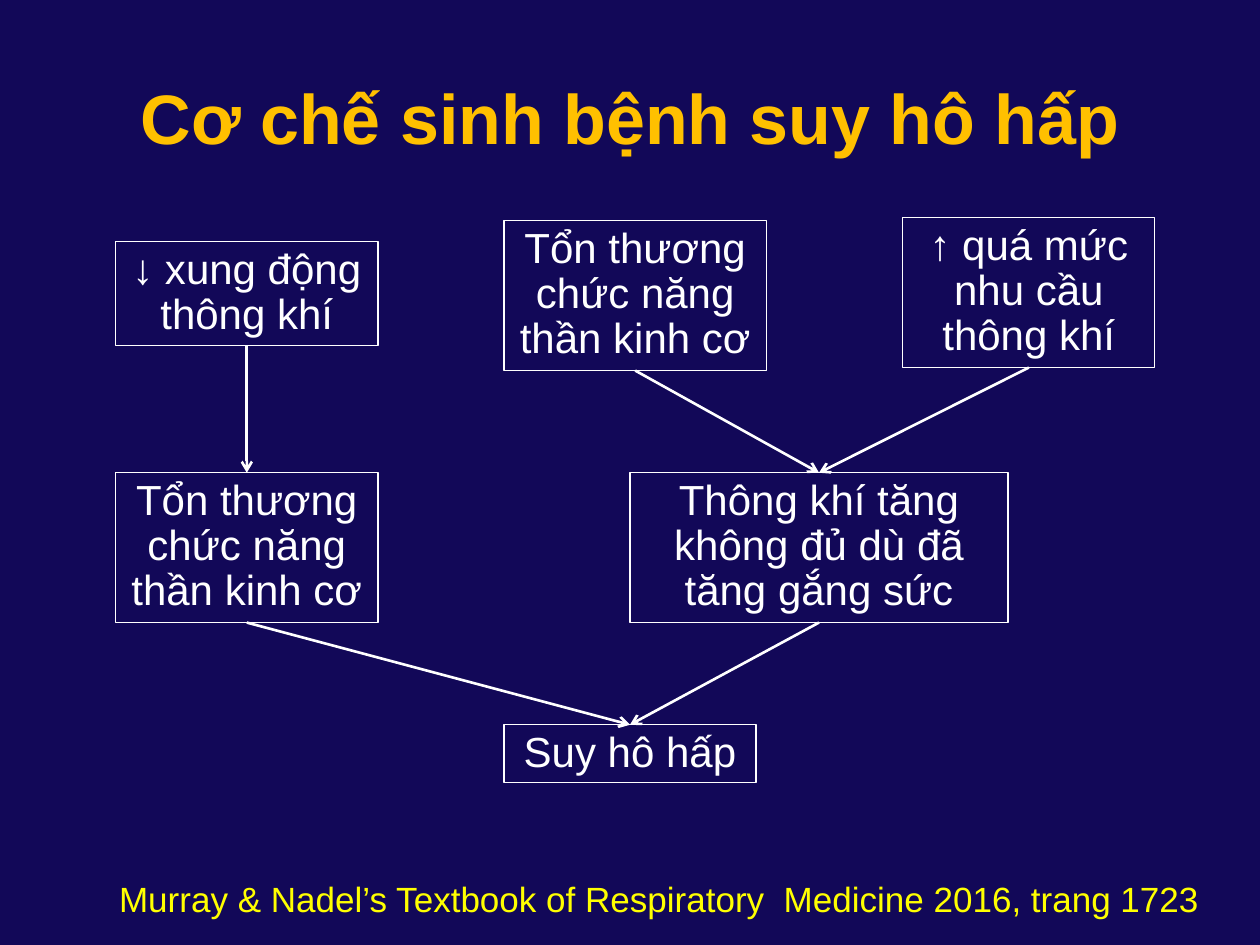
from lxml import etree
from pptx import Presentation
from pptx.dml.color import RGBColor
from pptx.enum import shapes, text
from pptx.oxml import ns
from pptx.util import Cm, Pt

HUES = {"back": "120858", "title": "FFC000", "ink": "FFFFFF", "cite": "FFFF00"}
TOP, FOOT = 0, 2  # connection sites of a rectangle


def hue(name):
    return RGBColor.from_string(HUES[name])


def write(shape, words, size, color, frame, para, bold=False):
    """Put one paragraph in a shape and format its frame, paragraph and font."""
    body = shape.text_frame
    body.text = words
    line = body.paragraphs[0]
    font = {"name": "Arial", "size": Pt(size), "bold": bold}
    for part, look in ((body, frame), (line, para), (line.runs[0].font, font)):
        for key, value in look.items():
            setattr(part, key, value)
    line.runs[0].font.color.rgb = hue(color)


deck = Presentation()
deck.slide_width, deck.slide_height = Cm(25.4), Cm(19.05)
slide = deck.slides.add_slide(deck.slide_layouts[5])
slide.background.fill.solid()
slide.background.fill.fore_color.rgb = hue("back")

# Title
title = slide.shapes.title
title.left, title.top, title.width, title.height = Cm(1.27), Cm(0.76), Cm(22.86), Cm(3.18)
write(title, "Cơ chế sinh bệnh suy hô hấp", 40, "title",
      {"vertical_anchor": text.MSO_ANCHOR.MIDDLE, "word_wrap": True},
      {"alignment": text.PP_ALIGN.CENTER}, bold=True)

# Boxes: left, top, width, height in cm
nerve = "Tổn thương chức năng thần kinh cơ"
steps = {
    "drive": ("↓ xung động thông khí", 2.33, 4.87, 5.29, 2.1),
    "nerve": (nerve, 10.16, 4.45, 5.29, 3.02),
    "need": ("↑ quá mức nhu cầu thông khí", 18.2, 4.39, 5.08, 3.02),
    "harm": (nerve, 2.33, 9.53, 5.29, 3.02),
    "effort": ("Thông khí tăng không đủ dù đã tăng gắng sức", 12.7, 9.53, 7.62, 3.02),
    "fail": ("Suy hô hấp", 10.16, 14.61, 5.08, 1.17),
}
boxes = {}
for name, (words, *place) in steps.items():
    box = slide.shapes.add_shape(shapes.MSO_SHAPE.RECTANGLE, *map(Cm, place))
    box.shadow.inherit = False
    box.fill.background()
    box.line.color.rgb = hue("ink")
    box.line.width = Pt(0.75)
    write(box, words, 24, "ink",
          {"vertical_anchor": text.MSO_ANCHOR.TOP, "word_wrap": True,
           "auto_size": text.MSO_AUTO_SIZE.SHAPE_TO_FIT_TEXT},
          {"alignment": text.PP_ALIGN.CENTER, "line_spacing": 0.9})
    boxes[name] = box

# Arrows from the foot of one box to the top of the next
links = [("drive", "harm"), ("need", "effort"), ("nerve", "effort"),
         ("effort", "fail"), ("harm", "fail")]
for start, end in links:
    arrow = slide.shapes.add_connector(shapes.MSO_CONNECTOR.STRAIGHT, 0, 0, 0, 0)
    arrow.begin_connect(boxes[start], FOOT)
    arrow.end_connect(boxes[end], TOP)
    arrow.line.color.rgb = hue("ink")
    arrow.line.width = Pt(1.5)
    etree.SubElement(arrow.line._get_or_add_ln(), ns.qn("a:tailEnd"), type="arrow")
    etree.SubElement(arrow._element.spPr, ns.qn("a:effectLst"))

# Citation
cite = slide.shapes.add_textbox(Cm(1.27), Cm(17.55), Cm(23.34), Cm(1.09))
write(cite, "Murray & Nadel’s Textbook of Respiratory  Medicine 2016, trang 1723 ", 20, "cite",
      {"vertical_anchor": text.MSO_ANCHOR.BOTTOM, "word_wrap": True,
       "auto_size": text.MSO_AUTO_SIZE.SHAPE_TO_FIT_TEXT,
       "margin_left": Cm(0.23), "margin_right": Cm(0.23),
       "margin_top": Cm(0.1), "margin_bottom": Cm(0.1)},
      {"alignment": text.PP_ALIGN.RIGHT})

deck.save("out.pptx")
